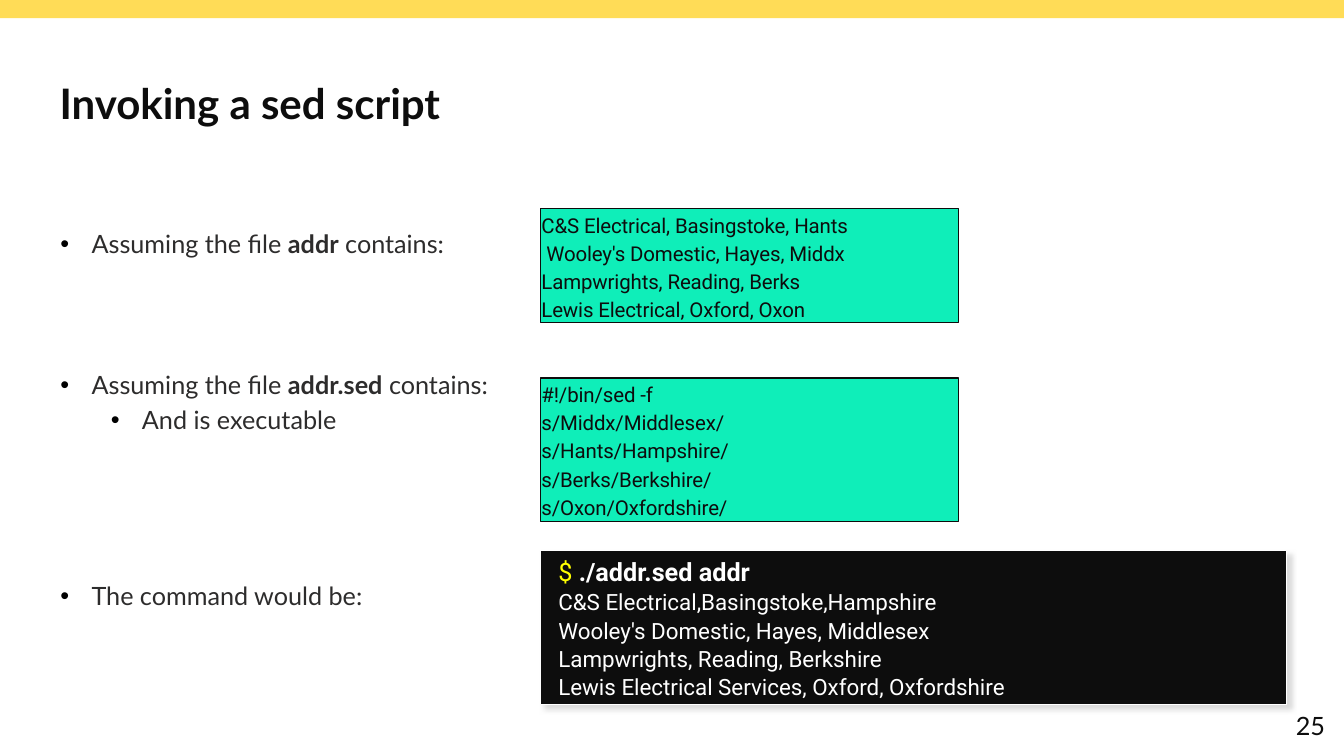
import pptx
import pptx.dml.color
import pptx.enum.shapes
import pptx.enum.text
import pptx.oxml
import pptx.oxml.ns
import pptx.util
from dataclasses import dataclass
from lxml import etree

Inches = pptx.util.Inches
Pt = pptx.util.Pt
LEFT = pptx.enum.text.PP_ALIGN.LEFT
RIGHT = pptx.enum.text.PP_ALIGN.RIGHT

TITLE = "Invoking a sed script"
PAGE = "25"
BULLETS = [
    (0, 0, [("Assuming the file ", False), ("addr", True), (" contains:", False)]),
    (0, 3, [("Assuming the file ", False), ("addr.sed", True), (" contains:", False)]),
    (1, 0, [("And is executable", False)]),
    (0, 4, [("The command would be:", False)]),
]
FILES = [
    (2.07, 1.13, [
        "C&S Electrical, Basingstoke, Hants",
        " Wooley's Domestic, Hayes, Middx",
        "Lampwrights, Reading, Berks",
        "Lewis Electrical, Oxford, Oxon",
    ]),
    (3.75, 1.42, [
        "#!/bin/sed -f",
        "s/Middx/Middlesex/",
        "s/Hants/Hampshire/",
        "s/Berks/Berkshire/",
        "s/Oxon/Oxfordshire/",
    ]),
]
PROMPT, COMMAND = "$ ", "./addr.sed addr"
OUTPUT = [
    "C&S Electrical,Basingstoke,Hampshire",
    "Wooley's Domestic, Hayes, Middlesex",
    "Lampwrights, Reading, Berkshire",
    "Lewis Electrical Services, Oxford, Oxfordshire",
]


@dataclass(frozen=True)
class Theme:
    sans: str = "Lato"
    code: str = "Roboto"
    bar: str = "FFDC57"
    ink: str = "0D0D0D"
    body: str = "2D2C2C"
    bullet: str = "000000"
    file: str = "0FEEB9"
    white: str = "FFFFFF"
    prompt: str = "FFFF00"
    shadow: str = "DADADA"
    title_size: float = 30
    body_size: float = 18
    file_size: float = 14.6
    output_size: float = 16


T = Theme()
BOX_LEFT = 5.36
BULLET_GAP = 5.7
BULLET_PITCH = T.body_size * 1.2 * 0.9 + BULLET_GAP


def rgb(value):
    return pptx.dml.color.RGBColor.from_string(value)


def add_run(p, text, font, size, color, bold=False):
    r = p.add_run()
    r.text = text
    r.font.name = font
    r.font.size = Pt(size)
    r.font.color.rgb = rgb(color)
    r.font.bold = bold
    return r


def next_paragraph(tf, i, line_spacing, before, margin=0, indent=0):
    p = tf.add_paragraph() if i else tf.paragraphs[0]
    p.alignment = LEFT
    p.line_spacing = line_spacing
    p.space_before = Pt(before if i else 0)
    pPr = p._p.get_or_add_pPr()
    pPr.set("marL", str(Inches(margin)))
    pPr.set("indent", str(Inches(indent)))
    return p


def add_bullet(p):
    pPr = p._p.get_or_add_pPr()
    color = etree.SubElement(pPr, pptx.oxml.ns.qn("a:buClr"))
    etree.SubElement(color, pptx.oxml.ns.qn("a:srgbClr"), val=T.bullet)
    etree.SubElement(pPr, pptx.oxml.ns.qn("a:buFont"), typeface="Arial")
    etree.SubElement(pPr, pptx.oxml.ns.qn("a:buChar"), char="•")


def add_box(s, box, fill, line=None, weight=0, insets=(0, 0, 0, 0)):
    sp = s.shapes.add_shape(pptx.enum.shapes.MSO_SHAPE.RECTANGLE, *map(Inches, box))
    sp.shadow.inherit = False
    sp.fill.solid()
    sp.fill.fore_color.rgb = rgb(fill)
    if line:
        sp.line.color.rgb = rgb(line)
        sp.line.width = Pt(weight)
    else:
        sp.line.fill.background()
    tf = sp.text_frame
    tf.word_wrap = True
    tf.vertical_anchor = pptx.enum.text.MSO_ANCHOR.TOP
    tf.margin_left, tf.margin_top, tf.margin_right, tf.margin_bottom = map(Inches, insets)
    return sp


def add_shadow(sp):
    effects = sp._element.spPr.find(pptx.oxml.ns.qn("a:effectLst"))
    shadow = etree.SubElement(
        effects, pptx.oxml.ns.qn("a:outerShdw"), blurRad=str(Pt(4)), dist=str(Pt(4)),
        dir="2700000", algn="tl", rotWithShape="0")
    etree.SubElement(shadow, pptx.oxml.ns.qn("a:srgbClr"), val=T.shadow)


def add_text(s, box):
    tf = s.shapes.add_textbox(*map(Inches, box)).text_frame
    tf.word_wrap = True
    return tf


def add_title(s):
    sp = s.shapes.title
    sp.left, sp.top, sp.width, sp.height = map(Inches, (0.49, 0.55, 12.36, 0.94))
    sp.text_frame.vertical_anchor = pptx.enum.text.MSO_ANCHOR.MIDDLE
    p = sp.text_frame.paragraphs[0]
    p.alignment = LEFT
    add_run(p, TITLE, T.sans, T.title_size, T.ink, True)


def add_bullets(s):
    tf = add_text(s, (0.49, 2.25, 12.36, 4.41))
    for i, (level, skipped, runs) in enumerate(BULLETS):
        before = BULLET_GAP + skipped * BULLET_PITCH
        p = next_paragraph(tf, i, 0.9, before, 0.32 + 0.5 * level, -0.31)
        p.level = level
        add_bullet(p)
        for text, bold in runs:
            add_run(p, text, T.sans, T.body_size, T.body, bold)


def add_file(s, top, height, lines):
    sp = add_box(s, (BOX_LEFT, top, 4.15, height), T.file, T.ink, 0.75, (0, 0.02, 0, 0))
    for i, line in enumerate(lines):
        p = next_paragraph(sp.text_frame, i, 1.1, 0.8, 0.01)
        r = add_run(p, line, T.code, T.file_size, T.ink)
        r.font._element.set("spc", "-10")


def add_terminal(s):
    sp = add_box(s, (BOX_LEFT, 5.46, 7.4, 1.53), T.ink, T.white, 1, (0.1, 0.1, 0.1, 0.06))
    add_shadow(sp)
    lines = [[(PROMPT, T.body_size, T.prompt, False), (COMMAND, T.body_size, T.white, True)]]
    lines += [[(text, T.output_size, T.white, False)] for text in OUTPUT]
    for i, runs in enumerate(lines):
        p = next_paragraph(sp.text_frame, i, Pt(19), 1.2, 0.08)
        for text, size, color, bold in runs:
            add_run(p, text, T.code, size, color, bold)


def main():
    prs = pptx.Presentation()
    prs.slide_width, prs.slide_height = Inches(13.33), Inches(7.5)
    s = prs.slides.add_slide(prs.slide_layouts[5])
    add_box(s, (0, 0, 13.33, 0.18), T.bar)
    add_title(s)
    add_bullets(s)
    for top, height, lines in FILES:
        add_file(s, top, height, lines)
    add_terminal(s)
    p = add_text(s, (10.24, 7, 3, 0.4)).paragraphs[0]
    p.alignment = RIGHT
    add_run(p, PAGE, T.sans, T.body_size, T.ink)
    prs.save("out.pptx")


if __name__ == "__main__":
    main()
